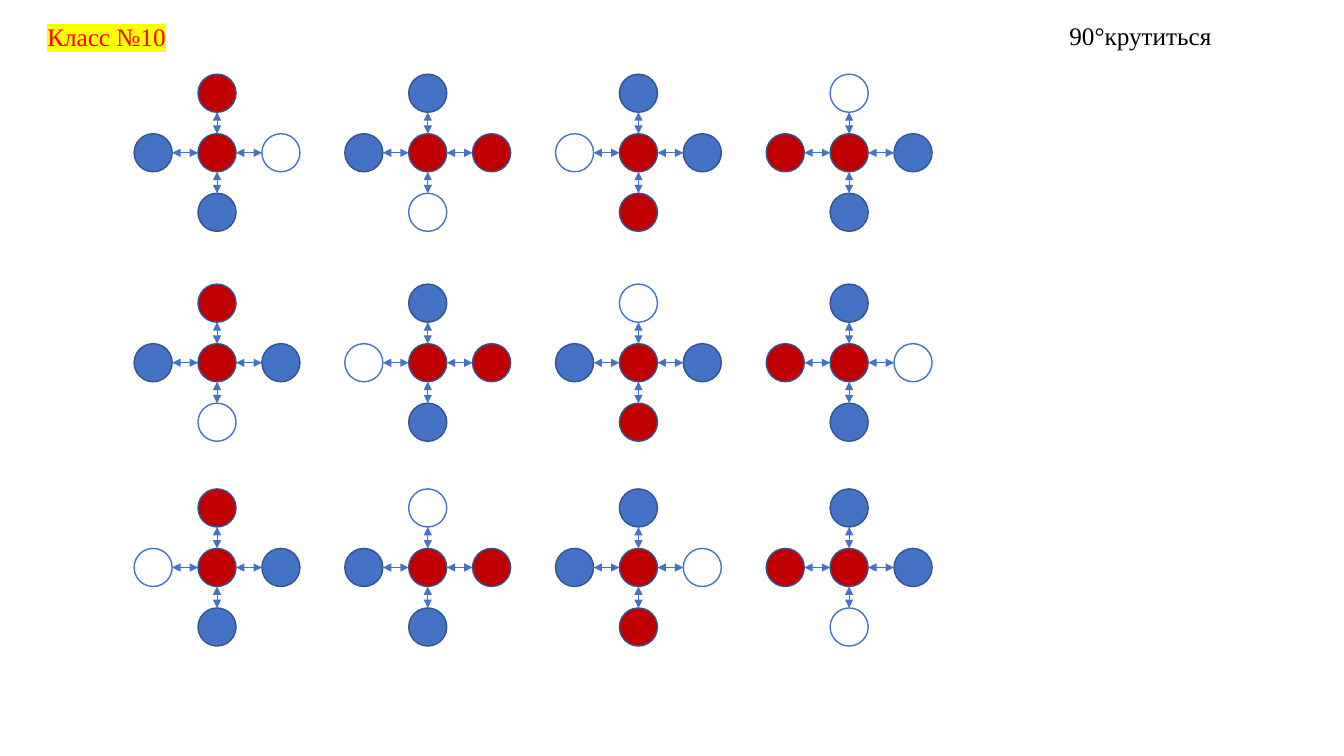
"""Build a slide of cross-shaped node patterns, each turned by 90° along its row."""
from lxml import etree
from pptx import Presentation, util as u
from pptx.dml.color import RGBColor
from pptx.enum import shapes, text
from pptx.oxml.ns import qn

COLOURS = {
    "red": "C00000",
    "blue": "4472C4",
    "white": "FFFFFF",
    "outline": "325491",
    "title": "FF0000",
    "highlight": "FFFF00",
    "black": "000000",
}
FONT = "Times New Roman"
DIAMETER = 0.96
RADIUS = DIAMETER / 2
ARM_X, ARM_Y = 1.61, 1.5
FIRST_X, PITCH_X = 5.47, 5.31
DIRECTIONS = [(0, -1), (1, 0), (0, 1), (-1, 0)]
ROWS = [
    (3.85, ["red", "white", "blue", "blue"]),
    (9.14, ["red", "blue", "white", "blue"]),
    (14.3, ["red", "blue", "blue", "white"]),
]


def colour(name):
    """Return the named colour."""
    return RGBColor.from_string(COLOURS[name])


def add_node(group, x, y, fill):
    """Add a circle centred on a point."""
    node = group.shapes.add_shape(
        shapes.MSO_SHAPE.OVAL, u.Cm(x - RADIUS), u.Cm(y - RADIUS), u.Cm(DIAMETER), u.Cm(DIAMETER)
    )
    node.shadow.inherit = False
    node.fill.solid()
    node.fill.fore_color.rgb = colour(fill)
    node.line.color.rgb = colour("blue" if fill == "white" else "outline")
    node.line.width = u.Pt(1)


def add_arrow(group, start, end):
    """Add a thin line with an arrowhead at both ends."""
    arrow = group.shapes.add_connector(
        shapes.MSO_CONNECTOR.STRAIGHT, *(u.Cm(value) for value in (*start, *end))
    )
    arrow.line.color.rgb = colour("blue")
    arrow.line.width = u.Pt(0.5)
    outline = arrow.line._get_or_add_ln()
    for tag in ("a:headEnd", "a:tailEnd"):
        etree.SubElement(outline, qn(tag), type="triangle")
    etree.SubElement(arrow._element.spPr, qn("a:effectLst"))


def add_cross(slide, x, y, fills):
    """Add a red centre joined to four nodes, listed clockwise from the top."""
    group = slide.shapes.add_group_shape()
    add_node(group, x, y, "red")
    for (dx, dy), fill in zip(DIRECTIONS, fills):
        node_x, node_y = x + dx * ARM_X, y + dy * ARM_Y
        add_node(group, node_x, node_y, fill)
        add_arrow(
            group,
            (x + dx * RADIUS, y + dy * RADIUS),
            (node_x - dx * RADIUS, node_y - dy * RADIUS),
        )


def write_label(box, place, words, ink, align):
    """Place a label, write its words and return the span."""
    box.left, box.top, box.width, box.height = (u.Cm(value) for value in place)
    frame = box.text_frame
    frame.word_wrap = True
    frame.auto_size = text.MSO_AUTO_SIZE.SHAPE_TO_FIT_TEXT
    frame.vertical_anchor = text.MSO_ANCHOR.TOP
    para = frame.paragraphs[0]
    para.alignment = align
    para.line_spacing = 1.0
    para.space_before = u.Pt(0)
    para.font.name = FONT
    para.font.size = u.Pt(18)
    para.font.color.rgb = colour(ink)
    span = para.add_run()
    span.text = words
    return span


def highlight(span):
    """Mark a span with the highlight colour."""
    marker = etree.SubElement(span.font._element, qn("a:highlight"))
    etree.SubElement(marker, qn("a:srgbClr"), val=COLOURS["highlight"])


def main():
    """Build and save the deck."""
    deck = Presentation()
    deck.slide_width, deck.slide_height = u.Cm(33.87), u.Cm(19.05)
    slide = deck.slides.add_slide(deck.slide_layouts.get_by_name("Title Only"))
    title = write_label(
        slide.shapes.title, (-0.12, 0.41, 5.61, 1.02), "Класс №10", "title", text.PP_ALIGN.CENTER
    )
    highlight(title)
    note = slide.shapes.add_textbox(0, 0, 0, 0)
    write_label(note, (26.7, 0.39, 5.38, 1.02), "90°крутиться", "black", text.PP_ALIGN.LEFT)
    for y, fills in ROWS:
        for turn in range(4):
            turned = fills[-turn:] + fills[:-turn]
            add_cross(slide, FIRST_X + turn * PITCH_X, y, turned)
    deck.save("out.pptx")


if __name__ == "__main__":
    main()
